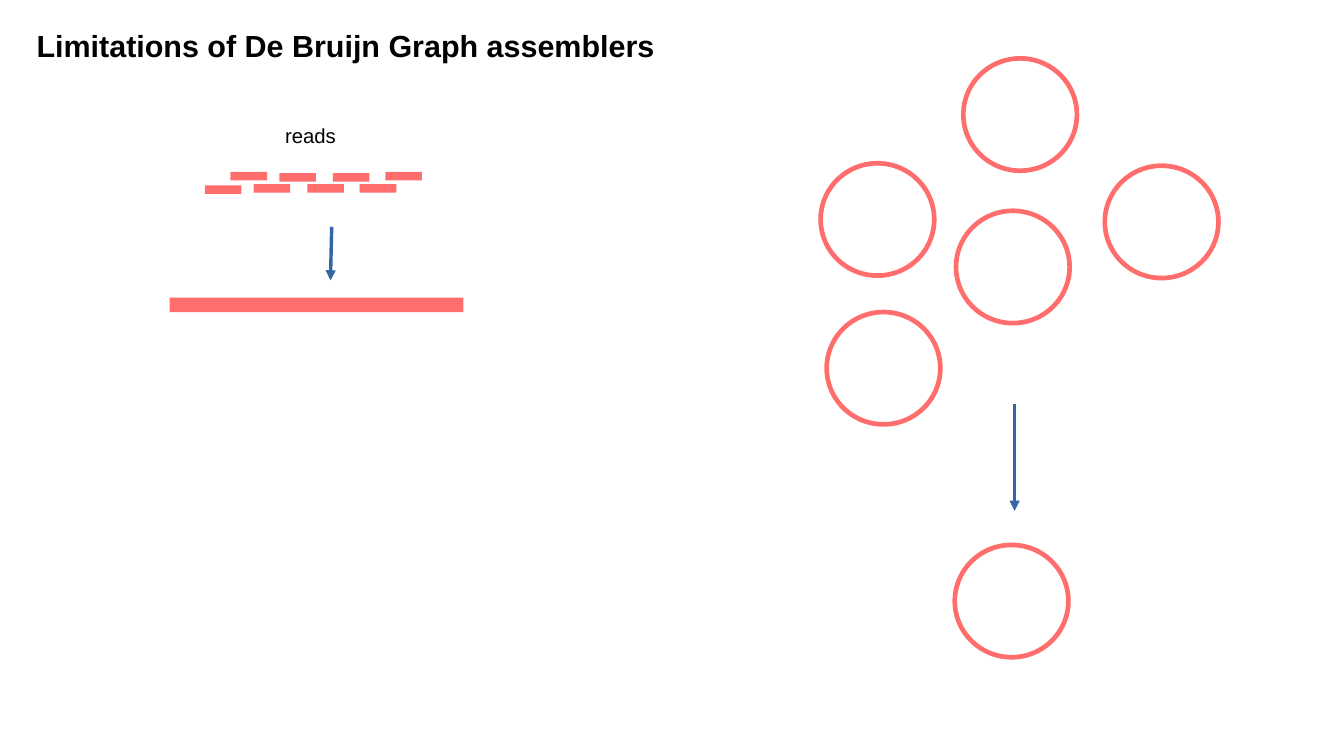
from lxml import etree
from pptx import Presentation
from pptx.dml.color import RGBColor
from pptx.enum.shapes import MSO_CONNECTOR, MSO_SHAPE
from pptx.enum.text import MSO_ANCHOR, MSO_AUTO_SIZE, PP_ALIGN
from pptx.oxml.ns import qn
from pptx.util import Inches, Pt

RECTANGLE, DONUT = MSO_SHAPE.RECTANGLE, MSO_SHAPE.DONUT
STRAIGHT = MSO_CONNECTOR.STRAIGHT
TOP, LEFT = MSO_ANCHOR.TOP, PP_ALIGN.LEFT
NO_AUTOFIT = MSO_AUTO_SIZE.NONE
TITLE_ONLY = 5

# Content: lengths in inches
FONT, BLACK, CORAL, BLUE = "Arial", "000000", "FF6D6D", "3465A4"
TITLE = ("Limitations of De Bruijn Graph assemblers", (0.2, 0.17, 7.18, 0.72), 18, True)
READS_LABEL = ("reads", (2.24, 0.96, 1, 0.29), 12, False)

CONTIG = (1.39, 2.44, 2.41, 0.12)
READ_SIZE = (0.3, 0.07)
UPPER_READ_SHIFT = 0.21
# left of the lower read, top of the lower read, top of the upper read
READ_PAIRS = [(1.68, 1.52, 1.41), (2.08, 1.51, 1.42), (2.52, 1.51, 1.42), (2.95, 1.51, 1.41)]

GENOME_SIZE = (0.97, 0.96)
RING_THICKNESS = 0.04
GENOMES = [(6.76, 2.54), (6.71, 1.32), (7.88, 0.46), (7.82, 1.71), (9.04, 1.34)]
ASSEMBLED_GENOME = (7.81, 4.45)

ARROWS = [(2.72, 1.86, 2.71, 2.3), (8.32, 3.31, 8.32, 4.19)]


def color(value):
    return RGBColor.from_string(value)


def write_text(shape, text, size, bold):
    frame = shape.text_frame
    frame.word_wrap = True
    frame.auto_size = NO_AUTOFIT
    frame.vertical_anchor = TOP
    paragraph = frame.paragraphs[0]
    paragraph.alignment = LEFT
    run = paragraph.add_run()
    run.text = text
    run.font.name, run.font.size, run.font.bold = FONT, Pt(size), bold
    run.font.color.rgb = color(BLACK)


def add_coral_shape(slide, kind, box):
    shape = slide.shapes.add_shape(kind, *map(Inches, box))
    shape.shadow.inherit = False
    shape.fill.solid()
    shape.fill.fore_color.rgb = color(CORAL)
    shape.line.fill.background()
    return shape


def add_genome(slide, position):
    ring = add_coral_shape(slide, DONUT, position + GENOME_SIZE)
    ring.adjustments[0] = RING_THICKNESS


def add_arrow(slide, ends):
    arrow = slide.shapes.add_connector(STRAIGHT, *map(Inches, ends))
    arrow.line.color.rgb = color(BLUE)
    arrow.line.width = Pt(0)
    etree.SubElement(arrow.line._get_or_add_ln(), qn("a:tailEnd"), type="triangle")
    etree.SubElement(arrow._element.spPr, qn("a:effectLst"))


def main():
    presentation = Presentation()
    presentation.slide_width, presentation.slide_height = Inches(11.02), Inches(6.2)
    slide = presentation.slides.add_slide(presentation.slide_layouts[TITLE_ONLY])

    # Title and label
    text, box, size, bold = TITLE
    title = slide.shapes.title
    title.left, title.top, title.width, title.height = map(Inches, box)
    write_text(title, text, size, bold)
    text, box, size, bold = READS_LABEL
    write_text(slide.shapes.add_textbox(*map(Inches, box)), text, size, bold)

    # Reads and the contig they build
    add_coral_shape(slide, RECTANGLE, CONTIG)
    for left, lower_top, upper_top in READ_PAIRS:
        add_coral_shape(slide, RECTANGLE, (left, lower_top) + READ_SIZE)
        add_coral_shape(slide, RECTANGLE, (left + UPPER_READ_SHIFT, upper_top) + READ_SIZE)

    # Circular genomes
    for position in GENOMES + [ASSEMBLED_GENOME]:
        add_genome(slide, position)

    # Assembly steps
    for ends in ARROWS:
        add_arrow(slide, ends)

    presentation.save("out.pptx")


if __name__ == "__main__":
    main()
